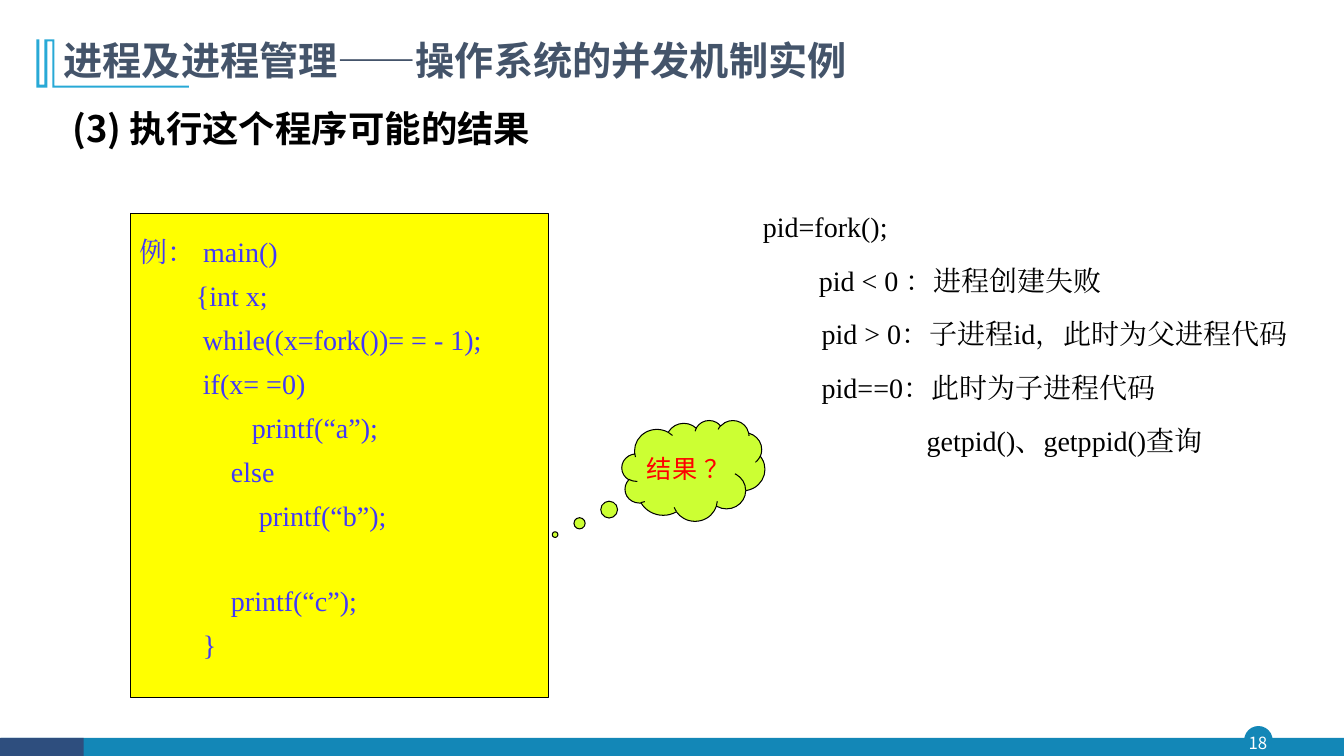
from dataclasses import dataclass

from lxml import etree
from pptx import Presentation
from pptx.dml.color import RGBColor
from pptx.enum.shapes import MSO_SHAPE
from pptx.enum.text import MSO_ANCHOR, PP_ALIGN
from pptx.oxml.ns import qn
from pptx.util import Pt

RECTANGLE, ELLIPSE = MSO_SHAPE.RECTANGLE, MSO_SHAPE.OVAL
CLOUD = MSO_SHAPE.CLOUD_CALLOUT
LEFT, CENTER, JUSTIFY = PP_ALIGN.LEFT, PP_ALIGN.CENTER, PP_ALIGN.JUSTIFY
TOP, MIDDLE = MSO_ANCHOR.TOP, MSO_ANCHOR.MIDDLE
SANS, SERIF, ARIAL = "Noto Sans CJK SC", "Times New Roman", "Arial"
COLORS = {
    "teal": "1387B7", "navy": "2E4E7E", "sky": "28A9D6", "slate": "44546A",
    "yellow": "FFFF00", "lime": "CCFF33", "violet": "4138FA", "red": "FF0000",
    "black": "000000", "white": "FFFFFF",
}


@dataclass
class Area:
    left: float
    top: float
    width: float
    height: float

    def lengths(self) -> tuple:
        return Pt(self.left), Pt(self.top), Pt(self.width), Pt(self.height)


@dataclass
class Style:
    font: str
    size: float
    color: str
    bold: bool = False


@dataclass
class Line:
    text: str
    before: float = 0
    indent: float = 0
    align: PP_ALIGN = LEFT
    spacing: float = 1.0


def color(name: str) -> RGBColor:
    return RGBColor.from_string(COLORS[name])


def paint(shape, fill: str, outline: str = "", weight: float = 0.75) -> None:
    shape.shadow.inherit = False
    shape.fill.solid()
    shape.fill.fore_color.rgb = color(fill)
    if outline:
        shape.line.color.rgb = color(outline)
        shape.line.width = Pt(weight)
    else:
        shape.line.fill.background()


def add_figure(page, kind: MSO_SHAPE, area: Area, fill: str, outline: str = "", weight: float = 0.75):
    shape = page.shapes.add_shape(kind, *area.lengths())
    paint(shape, fill, outline, weight)
    return shape


def add_box(page, area: Area):
    return page.shapes.add_textbox(*area.lengths())


def write(shape, lines: list[Line], style: Style, anchor: MSO_ANCHOR = TOP,
          insets: tuple = (7.2, 3.6, 7.2, 3.6), wrap: bool = True) -> None:
    frame = shape.text_frame
    frame.word_wrap = wrap
    frame.vertical_anchor = anchor
    (frame.margin_left, frame.margin_top,
     frame.margin_right, frame.margin_bottom) = map(Pt, insets)
    for number, line in enumerate(lines):
        para = frame.add_paragraph() if number else frame.paragraphs[0]
        para.alignment = line.align
        para.line_spacing = line.spacing
        para.space_before = Pt(line.before)
        if line.indent:
            properties = para._p.get_or_add_pPr()
            properties.set("marL", str(Pt(line.indent)))
            properties.set("indent", "0")
        span = para.add_run()
        span.text = line.text
        span.font.name = style.font
        span.font.size = Pt(style.size)
        span.font.bold = style.bold
        span.font.color.rgb = color(style.color)
        east_asian = etree.SubElement(span._r.get_or_add_rPr(), qn("a:ea"))
        east_asian.set("typeface", style.font)


def add_footer(page) -> None:
    add_figure(page, ELLIPSE, Area(889.2, 519.1, 19.4, 19.4), "teal", "teal", 1)
    add_figure(page, RECTANGLE, Area(0.7, 527, 959.3, 13), "teal")
    add_figure(page, RECTANGLE, Area(0, 527, 59.8, 13), "navy")
    number = add_box(page, Area(887, 519.1, 23, 22.3))
    write(number, [Line("18", align=CENTER)], Style(SANS, 12, "white"), MIDDLE, (0, 0, 0, 0))


def add_title_mark(page) -> None:
    outline = [
        (38.9, 28.1), (38.9, 61.2), (134.9, 61.2), (134.9, 62.6), (37.4, 62.6),
        (37.4, 29.5), (33.8, 29.5), (33.8, 62.6), (25.9, 62.6), (25.9, 28.1),
        (28.1, 28.1), (28.1, 60.5), (31.7, 60.5), (31.7, 28.1),
    ]
    points = [(Pt(x), Pt(y)) for x, y in outline]
    builder = page.shapes.build_freeform(*points[0], scale=1.0)
    builder.add_line_segments(points[1:], close=True)
    paint(builder.convert_to_shape(), "sky")


def add_headings(page) -> None:
    title = page.shapes.title
    title.left, title.top, title.width, title.height = Area(38.2, 24.5, 755.3, 40.3).lengths()
    write(title, [Line("进程及进程管理——操作系统的并发机制实例", spacing=0.9)],
          Style(SANS, 28, "slate", True), MIDDLE)
    heading = add_box(page, Area(44.6, 72, 612.7, 38.9))
    write(heading, [Line("(3) 执行这个程序可能的结果", align=JUSTIFY)],
          Style(SANS, 26, "black", True))


def add_program(page) -> None:
    gap, blank_row = 5, 30
    code = [
        "例： main()",
        "        {int x;",
        "         while((x=fork())= = - 1);",
        "         if(x= =0)",
        "                printf(“a”);",
        "             else",
        "                 printf(“b”);",
        "             printf(“c”);",
        "         }",
    ]
    lines = [Line(text, before=gap if number else 0, spacing=1.1)
             for number, text in enumerate(code)]
    lines[7].before += blank_row
    panel = add_figure(page, RECTANGLE, Area(92.9, 152.6, 298.8, 345.6), "yellow", "black")
    write(panel, lines, Style(SERIF, 20, "violet"), insets=(7.2, 12.5, 7.2, 3.6))


def add_question(page) -> None:
    cloud = add_figure(page, CLOUD, Area(444.2, 300.2, 102.2, 72), "lime", "black")
    cloud.adjustments[0], cloud.adjustments[1] = -0.967, 0.635
    write(cloud, [Line("结果 ？", align=CENTER)], Style(ARIAL, 18, "red"), MIDDLE, wrap=False)


def add_return_values(page) -> None:
    cases = [
        (40, "pid < 0 ：进程创建失败"),
        (42, "pid > 0：子进程id，此时为父进程代码"),
        (42, "pid==0：此时为子进程代码"),
        (117, "getpid()、getppid()查询"),
    ]
    lines = [Line("pid=fork();", spacing=1.3)]
    lines += [Line(text, 7, indent, JUSTIFY, 1.3) for indent, text in cases]
    write(add_box(page, Area(537.8, 139, 396.7, 193.7)), lines, Style(SERIF, 20, "black"))


def main() -> None:
    deck = Presentation()
    deck.slide_width, deck.slide_height = Pt(960), Pt(540)
    page = deck.slides.add_slide(deck.slide_layouts[5])  # title only
    # Page frame
    add_footer(page)
    add_title_mark(page)
    # Content
    add_headings(page)
    add_program(page)
    add_question(page)
    add_return_values(page)
    deck.save("out.pptx")


if __name__ == "__main__":
    main()
